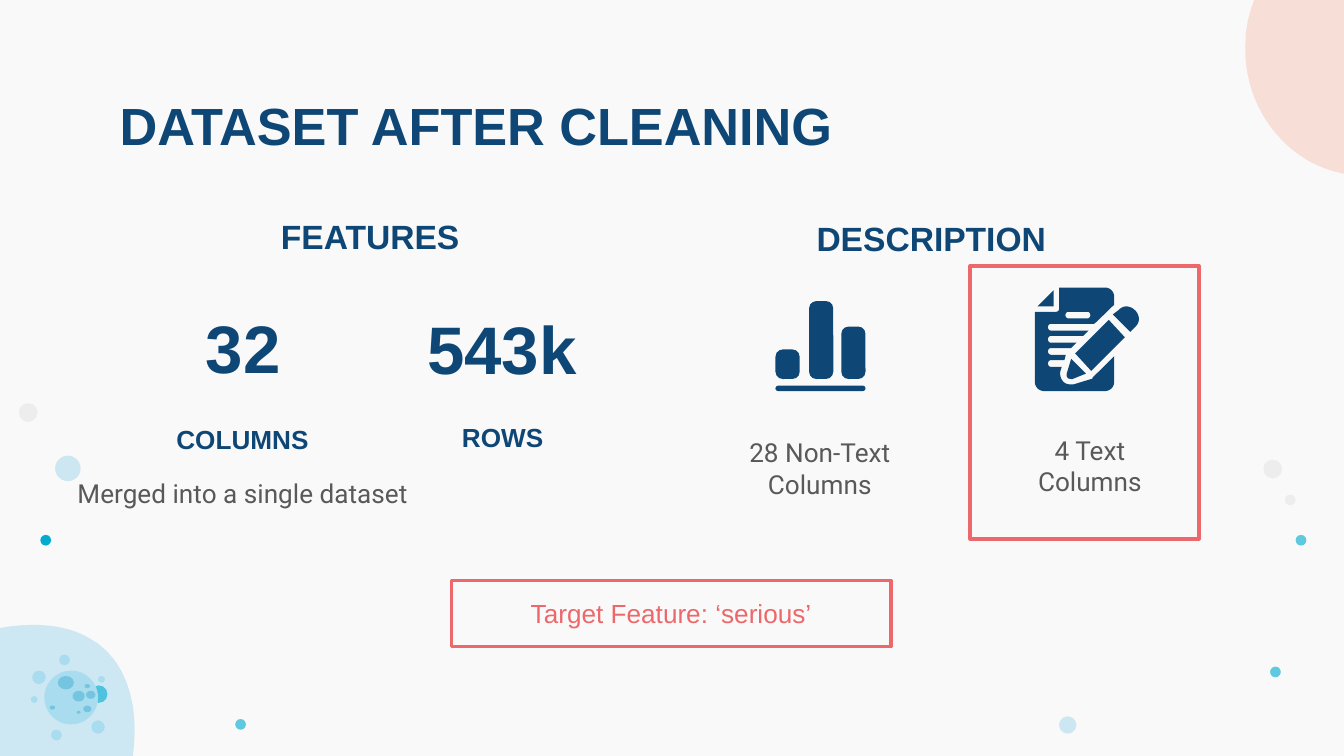
from lxml.etree import SubElement
from pptx import Presentation
from pptx.dml.color import RGBColor
from pptx.enum.shapes import MSO_SHAPE
from pptx.enum.text import MSO_ANCHOR, MSO_AUTO_SIZE, PP_ALIGN
from pptx.oxml.ns import qn
from pptx.util import Inches, Pt

COLORS = {
    "back": "F9F9F9",
    "navy": "0E4776",
    "gray": "595959",
    "coral": "EC686A",
    "peach": "F5AD9A",
    "pale": "AADBEE",
    "moon": "AADCEF",
    "spot": "75C4E0",
    "teal": "02ACD0",
    "mist": "EDEDED",
}

WAVE = [
    (0.24, 4.65), (-0.2, 4.65, -0.68, 4.91, -1.09, 4.94),
    (-1.13, 4.94, -1.16, 4.94, -1.2, 4.94), (-1.4, 4.94, -1.62, 4.92, -1.83, 4.92),
    (-2.17, 4.92, -2.49, 4.98, -2.7, 5.29), (-3.13, 5.95, -3.94, 5.91, -3.94, 6.51),
    (-3.94, 7.03, -3.28, 7.18, -3.28, 8.18), (0.6, 8.18),
    (1.17, 8.18, 1.45, 8, 1.47, 7.68), (1.49, 7.41, 1.3, 7.19, 0.99, 7.14),
    (0.8, 7.1, 0.53, 7.01, 0.48, 6.82), (0.4, 6.54, 0.7, 6.35, 0.81, 6.15),
    (1.08, 5.68, 1.1, 4.97, 0.65, 4.74), (0.52, 4.67, 0.38, 4.65, 0.24, 4.65),
]
BLOB = [
    (11.21, 0.64), (11.25, 0.49, 11.25, 0.33, 11.21, 0.17),
    (11.16, -0.41, 10.6, -0.76, 10.09, -0.61), (9.68, -0.53, 9.39, -0.24, 9.3, 0.1),
    (9.26, 0.26, 9.26, 0.42, 9.31, 0.58), (9.44, 1.09, 10, 1.45, 10.52, 1.3),
    (10.87, 1.21, 11.12, 0.95, 11.21, 0.64),
]
DOTS = [
    (0.41, 3.39, 0.19, "pale", 57), (0.67, 5.1, 0.13, "teal", 62),
    (9.56, 3.68, 0.08, "mist", 100), (0.14, 3, 0.14, "mist", 100),
    (0.3, 3.98, 0.08, "teal", 100), (1.75, 5.35, 0.08, "teal", 62),
    (9.45, 4.96, 0.08, "teal", 62), (7.88, 5.33, 0.13, "pale", 57),
    (9.4, 3.42, 0.14, "mist", 100), (9.64, 3.98, 0.08, "teal", 62),
]
MOONS = [
    (0.44, 4.87, 0.08, 0.08), (0.38, 5.43, 0.08, 0.08), (0.24, 4.99, 0.1, 0.1),
    (0.68, 5.36, 0.1, 0.1), (0.73, 5.03, 0.05, 0.05), (0.23, 5.18, 0.05, 0.05),
    (0.33, 4.99, 0.4, 0.4),
]
SPOTS = [
    (0.64, 5.14, 0.07, 0.06), (0.63, 5.09, 0.04, 0.03), (0.54, 5.14, 0.09, 0.08),
    (0.43, 5.03, 0.12, 0.1), (0.62, 5.25, 0.06, 0.05), (0.37, 5.25, 0.04, 0.03),
    (0.57, 5.29, 0.03, 0.02),
]
SLOTS = [(7.9, 7.92), (7.93, 7.97), (8.01, 8.06), (8.1, 8.14)]
BARS = [(5.77, 2.6), (6.02, 2.24), (6.26, 2.43)]
FOOT = 2.82


def rgb(name):
    return RGBColor.from_string(COLORS[name])


def paint(shape, color, alpha=100):
    shape.shadow.inherit = False
    shape.fill.solid()
    shape.fill.fore_color.rgb = rgb(color)
    if alpha < 100:
        node = shape.element.spPr.find(".//" + qn("a:srgbClr"))
        SubElement(node, qn("a:alpha")).set("val", str(alpha * 1000))
    shape.line.fill.background()
    return shape


def add_form(slide, kind, box, color, alpha=100):
    shape = slide.shapes.add_shape(kind, *map(Inches, box))
    return paint(shape, color, alpha)


def trace(path, steps=16):
    points = [path[0]]
    for part in path[1:]:
        if len(part) == 2:
            points.append(part)
            continue
        a, b, c, d = points[-1], part[:2], part[2:4], part[4:]
        for step in range(1, steps + 1):
            t = step / steps
            u = 1 - t
            points.append(tuple(
                u ** 3 * p + 3 * u * u * t * q + 3 * u * t * t * r + t ** 3 * s
                for p, q, r, s in zip(a, b, c, d)))
    return [(Inches(x), Inches(y)) for x, y in points]


def add_free(slide, paths, color, alpha=100):
    first, *rest = map(trace, paths)
    pen = slide.shapes.build_freeform(*first[0])
    pen.add_line_segments(first[1:])
    for points in rest:
        pen.move_to(*points[0])
        pen.add_line_segments(points[1:])
    return paint(pen.convert_to_shape(), color, alpha)


def write(shape, text, size, color="navy", bold=True, font="Arial",
          align=PP_ALIGN.CENTER, anchor=MSO_ANCHOR.MIDDLE):
    frame = shape.text_frame
    frame.word_wrap = True
    frame.auto_size = MSO_AUTO_SIZE.NONE
    frame.vertical_anchor = anchor
    frame.margin_left = frame.margin_right = Inches(0.1)
    frame.margin_top = frame.margin_bottom = Inches(0.1)
    para = frame.paragraphs[0]
    para.alignment = align
    run = para.add_run()
    run.text = text
    run.font.size = Pt(size)
    run.font.name = font
    run.font.bold = bold
    run.font.color.rgb = rgb(color)
    return para


def add_text(slide, box, text, size):
    return write(slide.shapes.add_textbox(*map(Inches, box)), text, size)


def add_note(slide, box, text):
    shape = slide.shapes.add_textbox(*map(Inches, box))
    return write(shape, text, 14, "gray", False, "Roboto", anchor=MSO_ANCHOR.TOP)


def add_frame(slide, box):
    shape = slide.shapes.add_shape(MSO_SHAPE.RECTANGLE, *map(Inches, box))
    shape.shadow.inherit = False
    shape.fill.background()
    shape.line.color.rgb = rgb("coral")
    shape.line.width = Pt(2)
    return shape


def add_title(slide, text):
    title = slide.shapes.title
    title.left, title.top, title.width, title.height = map(
        Inches, (0.79, 0.59, 8.43, 0.52))
    write(title, text, 28, align=PP_ALIGN.LEFT, anchor=MSO_ANCHOR.TOP)


def add_decor(slide):
    add_free(slide, [WAVE], "pale", 54)
    add_free(slide, [BLOB], "peach", 34).rotation = 105.2
    for x, y, size, color, alpha in DOTS:
        add_form(slide, MSO_SHAPE.OVAL, (x, y, size, size), color, alpha)
    for color, boxes in (("moon", MOONS), ("spot", SPOTS)):
        for box in boxes:
            add_form(slide, MSO_SHAPE.OVAL, box, color)


def add_page(slide):
    slot = [(8.09, 2.32), (8.12, 2.32, 8.12, 2.37, 8.09, 2.37), (7.95, 2.37),
            (7.92, 2.37, 7.92, 2.32, 7.95, 2.32), (8.09, 2.32)]
    page = [(7.88, 2.14), (7.88, 2.3), (7.88, 2.31, 7.87, 2.32, 7.86, 2.32),
            (7.7, 2.32), (7.7, 2.84), (7.7, 2.88, 7.73, 2.91, 7.77, 2.91),
            (8.22, 2.91), (8.26, 2.91, 8.29, 2.88, 8.29, 2.84), (8.29, 2.65),
            (8.13, 2.81), (8.13, 2.82, 8.12, 2.82, 8.12, 2.82), (7.99, 2.86),
            (7.98, 2.86, 7.97, 2.86, 7.96, 2.86),
            (7.91, 2.86, 7.88, 2.81, 7.89, 2.76)]
    for row, (low, high) in enumerate(SLOTS):
        y = 2.73 - 0.09 * row
        top = y - 0.05
        page += [(low, y), (7.82, y), (7.79, y, 7.79, top, 7.82, top), (high, top)]
    page += [(8.16, 2.4, 8.27, 2.28, 8.29, 2.27), (8.29, 2.21),
             (8.29, 2.17, 8.26, 2.14, 8.22, 2.14), (7.88, 2.14)]
    tip = [(7.97, 2.67), (7.94, 2.77), (7.93, 2.8, 7.94, 2.82, 7.97, 2.82),
           (7.98, 2.82), (8.08, 2.78), (7.97, 2.67)]
    end = [(8.38, 2.28), (8.36, 2.28, 8.34, 2.29, 8.32, 2.31), (8.28, 2.34),
           (8.41, 2.47), (8.45, 2.43), (8.51, 2.37, 8.45, 2.28, 8.38, 2.28)]
    stem = [(8.25, 2.38), (8, 2.63), (8.12, 2.76), (8.37, 2.51), (8.25, 2.38)]
    fold = [(7.84, 2.16), (7.72, 2.28), (7.84, 2.28), (7.84, 2.16)]
    for paths in ([page, slot], [tip], [end], [stem], [fold]):
        add_free(slide, paths, "navy")


def add_bars(slide):
    kind = MSO_SHAPE.ROUNDED_RECTANGLE
    base = add_form(slide, kind, (5.77, 2.87, 0.67, 0.04), "navy")
    base.adjustments[0] = 0.5
    for x, top in BARS:
        bar = add_form(slide, kind, (x, top, 0.18, FOOT - top), "navy")
        bar.adjustments[0] = 0.3


def main():
    deck = Presentation()
    deck.slide_width = Inches(10)
    deck.slide_height = deck.slide_width * 9 // 16
    slide = deck.slides.add_slide(deck.slide_layouts[5])
    slide.background.fill.solid()
    slide.background.fill.fore_color.rgb = rgb("back")
    add_decor(slide)
    add_title(slide, "DATASET AFTER CLEANING")
    add_note(slide, (7.48, 3.13, 1.26, 0.5), "4 Text Columns")
    add_text(slide, (4.65, 1.55, 4.56, 0.44), "DESCRIPTION", 18)
    add_note(slide, (5.47, 3.15, 1.26, 0.48), "28 Non-Text Columns")
    add_page(slide)
    add_bars(slide)
    goal = add_frame(slide, (3.36, 4.32, 3.27, 0.49))
    write(goal, "Target Feature: ‘serious’", 14, "coral", False)
    para = add_note(slide, (0.05, 3.42, 3.51, 1.06), "Merged into a single dataset")
    para.line_spacing = 1.15
    para.space_after = Pt(16)
    add_text(slide, (0.67, 2.18, 2.28, 0.8), "32", 36)
    add_text(slide, (0.57, 3.09, 2.47, 0.35), "COLUMNS", 14)
    add_text(slide, (0.62, 1.54, 4.27, 0.44), "FEATURES", 18)
    add_text(slide, (2.48, 2.19, 2.51, 0.8), "543k", 36)
    add_text(slide, (2.38, 3.08, 2.72, 0.35), "ROWS", 14)
    add_frame(slide, (7.22, 1.98, 1.7, 2.03))
    deck.save("out.pptx")


if __name__ == "__main__":
    main()
